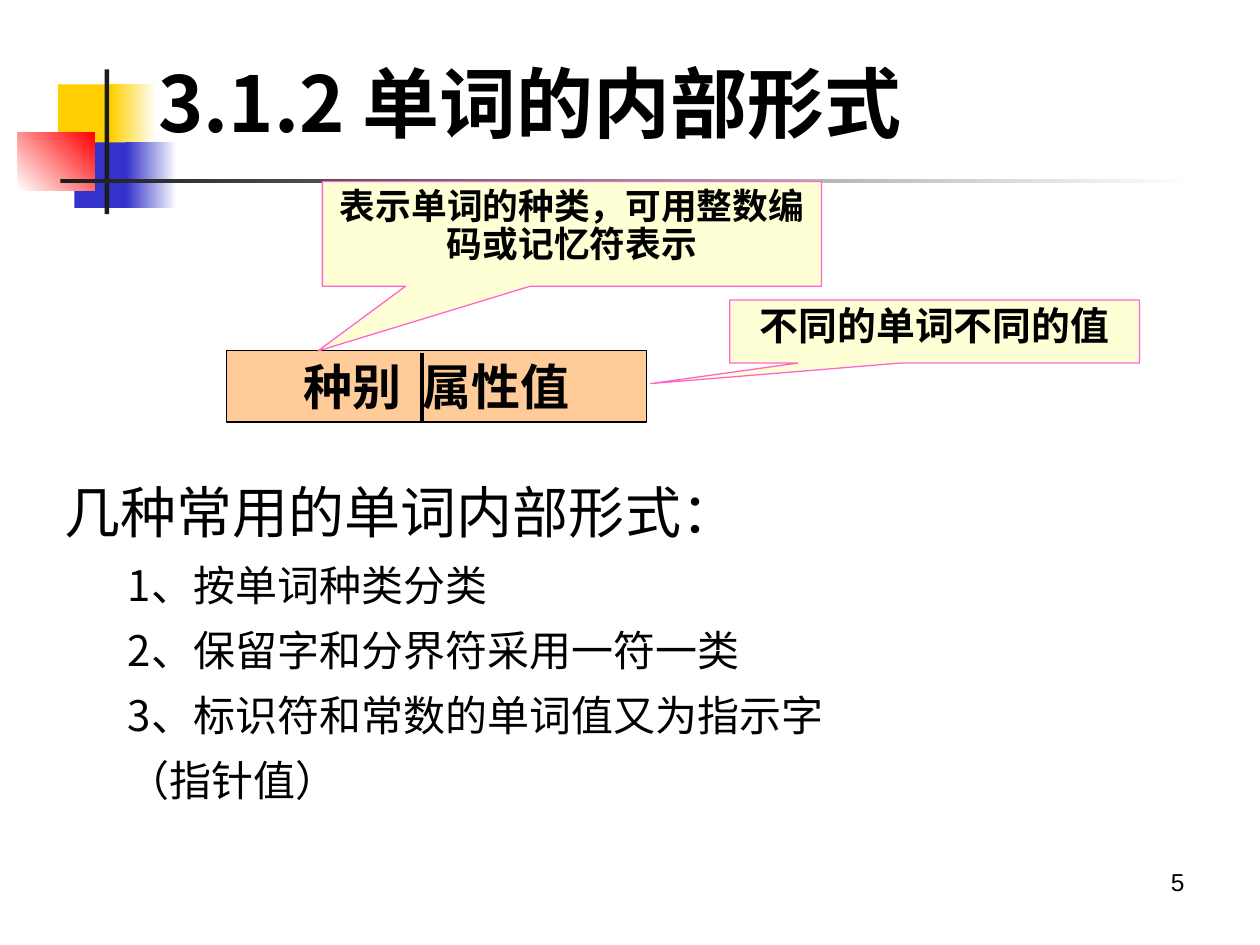
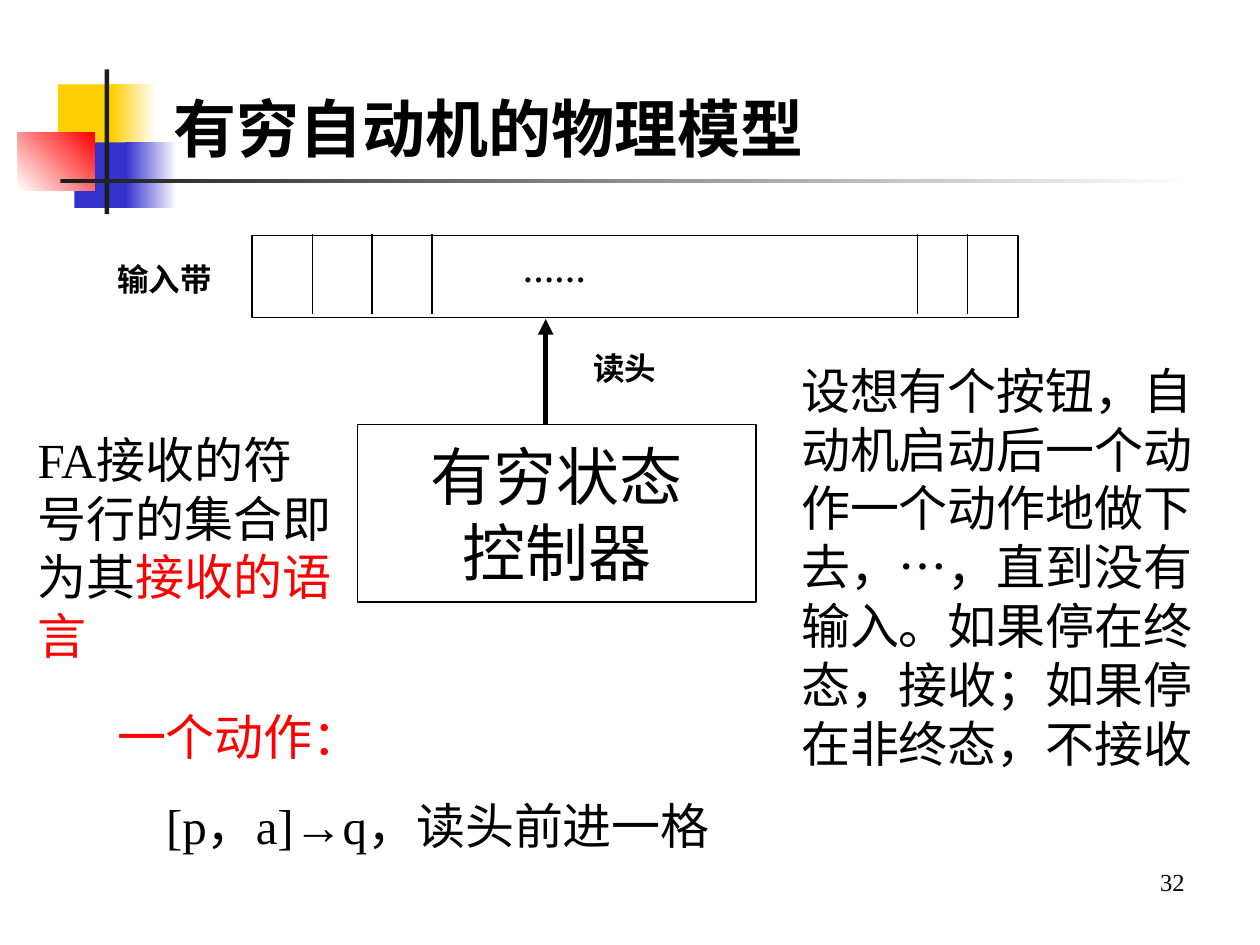
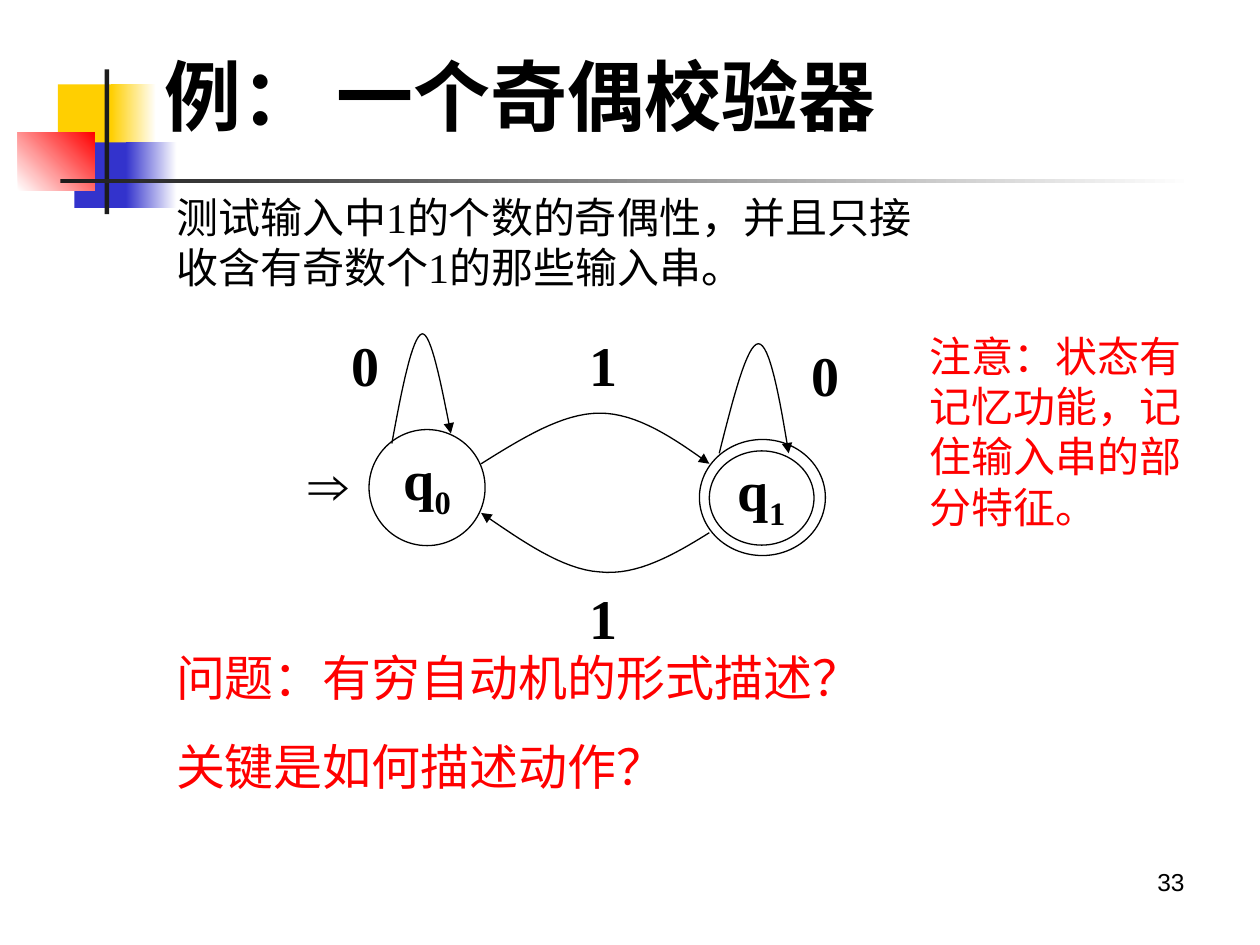
import lxml.etree
import pptx
import pptx.dml.color
import pptx.enum.dml
import pptx.enum.shapes
import pptx.enum.text
import pptx.oxml.ns
import pptx.util

Cm = pptx.util.Cm
Pt = pptx.util.Pt
SHAPE = pptx.enum.shapes.MSO_SHAPE
ALIGN = pptx.enum.text.PP_ALIGN
ANCHOR = pptx.enum.text.MSO_ANCHOR
qn = pptx.oxml.ns.qn

TIMES, ARIAL, NOTO = "Times New Roman", "Arial", "Noto Sans CJK SC"
BLACK, WHITE, RED = "000000", "FFFFFF", "FF0000"
YELLOW, BLUE, DARK = "FFCF01", "3333CC", "1C1C1C"
PEACH, CREAM, PINK = "FFCC99", "FFFFD5", "FF66CC"


def rgb(color):
    return pptx.dml.color.RGBColor.from_string(color)


def box(x, y, w, h):
    return Cm(x), Cm(y), Cm(w), Cm(h)


def add_shape(s, kind, x, y, w, h, fill=None, line=None, width=0.75):
    sp = s.shapes.add_shape(kind, *box(x, y, w, h))
    style_shape(sp, fill, line, width)
    return sp


def style_shape(sp, fill, line, width):
    sp.shadow.inherit = False
    if fill:
        sp.fill.solid()
        sp.fill.fore_color.rgb = rgb(fill)
    else:
        sp.fill.background()
    if line:
        sp.line.color.rgb = rgb(line)
        sp.line.width = Pt(width)
    else:
        sp.line.fill.background()


def add_gradient(s, x, y, w, h, start, end, angle=0):
    sp = add_shape(s, SHAPE.RECTANGLE, x, y, w, h)
    sp.fill.gradient()
    sp.fill.gradient_angle = angle
    for stop, color in zip(sp.fill.gradient_stops, (start, end)):
        stop.color.rgb = rgb(color)


def add_arrowhead(sp):
    ln = sp.line._get_or_add_ln()
    lxml.etree.SubElement(ln, qn("a:tailEnd"), type="triangle")


def add_line(s, x1, y1, x2, y2, width=0.75, arrow=False):
    cn = s.shapes.add_connector(pptx.enum.shapes.MSO_CONNECTOR.STRAIGHT,
                                Cm(x1), Cm(y1), Cm(x2), Cm(y2))
    cn.line.color.rgb = rgb(BLACK)
    cn.line.width = Pt(width)
    if arrow:
        add_arrowhead(cn)
    lxml.etree.SubElement(cn._element.spPr, qn("a:effectLst"))


def frame(sp, anchor=ANCHOR.TOP, wrap=True):
    tf = sp.text_frame
    tf.word_wrap = wrap
    tf.vertical_anchor = anchor
    return tf


def add_para(tf, runs, size, font=TIMES, color=BLACK, bold=False, align=ALIGN.LEFT,
             leading=1.2, before=0, indent=0):
    p = tf.paragraphs[0]
    if p.runs:
        p = tf.add_paragraph()
    p.alignment = align
    p.line_spacing = Pt(round(size * leading, 1))
    p.space_before = Pt(before)
    if indent:
        pPr = p._p.get_or_add_pPr()
        pPr.set("marL", str(int(Cm(indent))))
        pPr.set("indent", "0")
    for text, run_color, attributes in runs:
        r = p.add_run()
        r.text = text
        r.font.size = Pt(size)
        r.font.bold = bold
        r.font.name = font
        r.font.color.rgb = rgb(run_color or color)
        rPr = r._r.get_or_add_rPr()
        lxml.etree.SubElement(rPr, qn("a:ea"), typeface=NOTO)
        for name, value in attributes.items():
            rPr.set(name, value)


def run(text, color=None, **attributes):
    return text, color, attributes


def add_text(s, x, y, w, h, text, size, anchor=ANCHOR.TOP, **style):
    tf = frame(s.shapes.add_textbox(*box(x, y, w, h)), anchor)
    add_para(tf, [run(text)], size, **style)
    return tf


def add_ornament(s, x, y):
    for dx, dy, w, fade_dx, fade_w, color in (
            (0.81, 0.3, 1.22, 1.88, 0.91, YELLOW), (1.14, 1.47, 1.17, 2.18, 1.02, BLUE)):
        add_shape(s, SHAPE.RECTANGLE, x + dx, y + dy, w, 1.32, color)
        add_gradient(s, x + fade_dx, y + dy, fade_w, 1.32, color, WHITE)
    add_gradient(s, x, y + 1.27, 1.55, 1.17, WHITE, RED, 45)
    add_shape(s, SHAPE.RECTANGLE, x + 1.75, y, 0.09, 2.92, DARK)
    add_gradient(s, x + 0.86, y + 2.2, 22.86, 0.1, DARK, WHITE)


def new_slide(prs, number, number_font=ARIAL):
    s = prs.slides.add_slide(prs.slide_layouts[6])
    add_ornament(s, 0.36, 1.4)
    add_text(s, 18.21, 17.35, 5.92, 1.32, number, 14, font=number_font, align=ALIGN.RIGHT)
    return s


def add_round_frame(s, x, y, w, h):
    sp = add_shape(s, SHAPE.ROUNDED_RECTANGLE, x, y, w, h)
    sp.adjustments[0] = 0.054
    return frame(sp, ANCHOR.MIDDLE)


def add_callout(s, x, y, w, h, tip, text, size):
    sp = add_shape(s, SHAPE.RECTANGULAR_CALLOUT, x, y, w, h, CREAM, PINK)
    sp.adjustments[0], sp.adjustments[1] = tip
    add_para(frame(sp), [run(text)], size, bold=True, align=ALIGN.CENTER, leading=1.08)


def add_token_diagram(s, x, y):
    top = y + 3.4
    token = add_shape(s, SHAPE.RECTANGLE, x, top, 8.46, 1.45, PEACH, BLACK, 0)
    add_para(frame(token, ANCHOR.MIDDLE),
             [run("种别"), run(" ", spc="600"), run("属性值")],
             28, font=NOTO, bold=True, align=ALIGN.CENTER)
    add_line(s, x + 3.94, top + 0.05, x + 3.94, top + 1.45, 0)
    add_callout(s, x + 1.93, y, 10.06, 2.11, (-0.509, 1.119),
                "表示单词的种类，可用整数编码或记忆符表示", 20.4)
    add_callout(s, x + 10.14, y + 2.39, 8.26, 1.27, (-0.693, 0.826),
                "不同的单词不同的值", 22.2)


def add_token_forms(s, x, y, w, h):
    tf = add_round_frame(s, x, y, w, h)
    tf.margin_bottom = Cm(1.14)
    add_para(tf, [run("几种常用的单词内部形式：")], 32, font=NOTO, leading=1.55)
    for item in ("1、按单词种类分类", "2、保留字和分界符采用一符一类",
                 "3、标识符和常数的单词值又为指示字", "（指针值）"):
        add_para(tf, [run(item)], 24, font=NOTO, leading=1.55, indent=1.27)


def token_slide(prs):
    s = new_slide(prs, "5")
    title = add_round_frame(s, 2.9, 0.79, 19.41, 2.54)
    add_para(title, [run("3.1.2 单词的内部形式")], 44, font=NOTO, bold=True)
    add_token_forms(s, 0.89, 7.95, 22.4, 10.59)
    add_token_diagram(s, 4.57, 3.66)


def add_automaton_model(s, x, y):
    add_shape(s, SHAPE.RECTANGLE, x, y, 15.44, 1.65, None, BLACK, 1)
    for dx in (1.22, 2.42, 3.63, 13.41, 14.43):
        add_line(s, x + dx, y - 0.03, x + dx, y + 1.57)
    controller = add_shape(s, SHAPE.RECTANGLE, x + 2.13, y + 3.81, 8.03, 3.58, None, BLACK, 1)
    tf = frame(controller, ANCHOR.MIDDLE, False)
    for text in ("有穷状态", "控制器"):
        add_para(tf, [run(text)], 36, align=ALIGN.CENTER)
    add_line(s, x + 5.92, y + 3.81, x + 5.92, y + 1.68, 3, True)
    for dx, dy, label in ((-2.97, 0.36, "输入带"), (6.63, 2.16, "读头"), (5.21, 0.18, "……")):
        add_text(s, x + dx, y + dy, 2.59, 1.02, label, 18, bold=True)


def model_slide(prs):
    s = new_slide(prs, "32", TIMES)
    add_text(s, 3.25, 1.83, 17.7, 1.63, "有穷自动机的物理模型", 36, ANCHOR.BOTTOM, bold=True)
    add_automaton_model(s, 5.08, 4.75)
    add_text(s, 15.9, 7.14, 9.19, 8.56,
             "设想有个按钮，自动机启动后一个动作一个动作地做下去，…，"
             "直到没有输入。如果停在终态，接收；如果停在非终态，不接收", 28)
    tf = add_text(s, 2.11, 14.12, 16, 3.25, "一个动作：", 28, color=RED)
    add_para(tf, [run("[p，a]→q，读头前进一格")], 28, before=17.5, indent=0.99)
    language = frame(s.shapes.add_textbox(*box(0.51, 8.53, 6.6, 5)))
    add_para(language, [run("FA接收的符号行的集合即为其"), run("接收的语言", RED)], 28)


def curve_points(knots, steps=16):
    points = [knots[0]]
    for i in range(0, len(knots) - 1, 3):
        a, b, c, d = knots[i:i + 4]
        for step in range(1, steps + 1):
            t = step / steps
            u = 1 - t
            points.append(tuple(
                u ** 3 * a[k] + 3 * u * u * t * b[k] + 3 * u * t * t * c[k] + t ** 3 * d[k]
                for k in (0, 1)))
    return points


def add_transition(s, x, y, knots):
    points = [(Cm(x + px), Cm(y + py)) for px, py in curve_points(knots)]
    builder = s.shapes.build_freeform(*points[0])
    builder.add_line_segments(points[1:], close=False)
    sp = builder.convert_to_shape()
    style_shape(sp, None, BLACK, 0.75)
    add_arrowhead(sp)


def add_state(s, x, y, w, h, index):
    sp = add_shape(s, SHAPE.OVAL, x, y, w, h, WHITE, BLACK)
    add_para(frame(sp, ANCHOR.MIDDLE, False), [run("q"), run(index, baseline="-25000")],
             32, bold=True, align=ALIGN.CENTER)


def add_state_diagram(s, x, y):
    add_state(s, x + 2.94, y + 2.13, 2.34, 2.34, "0")
    add_shape(s, SHAPE.OVAL, x + 9.6, y + 2.33, 2.54, 2.34, WHITE, BLACK)
    add_state(s, x + 9.8, y + 2.56, 2.11, 1.9, "1")
    for dx, dy, label in ((2.33, 0, "0"), (11.6, 0.2, "0"), (7.13, 0, "1"), (7.13, 5.1, "1")):
        add_text(s, x + dx, y + dy, 1.07, 1.63, label, 32, bold=True)
    add_text(s, x, y + 2.41, 4.24, 1.63, "⇒", 32, font=ARIAL, bold=True, align=ALIGN.CENTER)
    loop_q0 = ((3.4, 2.41), (3.6, 1.32), (3.81, 0.25), (4.01, 0.2),
               (4.19, 0.18), (4.39, 1.19), (4.59, 2.21))
    loop_q1 = ((10, 2.61), (10.28, 1.5), (10.56, 0.4), (10.79, 0.4),
               (11.02, 0.4), (11.22, 1.5), (11.4, 2.61))
    q0_to_q1 = ((5.2, 2.82), (6.02, 2.31), (6.83, 1.8), (7.59, 1.8),
                (8.35, 1.8), (9.09, 2.31), (9.8, 2.82))
    q1_to_q0 = ((9.8, 4.21), (9.09, 4.65), (8.35, 5.08), (7.59, 5),
                (6.83, 4.95), (6.02, 4.37), (5.2, 3.81))
    for knots in (loop_q0, loop_q1, q0_to_q1, q1_to_q0):
        add_transition(s, x, y, knots)


def parity_slide(prs):
    s = new_slide(prs, "33")
    add_text(s, 3.07, 0.71, 15.82, 2.41, "例： 一个奇偶校验器", 44, ANCHOR.MIDDLE,
             font=NOTO, bold=True)
    add_state_diagram(s, 4.5, 6.53)
    add_text(s, 3.3, 3.73, 15.8, 2.29,
             "测试输入中1的个数的奇偶性，并且只接收含有奇数个1的那些输入串。", 24)
    tf = add_text(s, 3.3, 12.93, 15.19, 3.25, "问题：有穷自动机的形式描述？", 28, color=RED)
    add_para(tf, [run("关键是如何描述动作？")], 28, color=RED, before=17.5)
    add_text(s, 18.49, 6.53, 6.2, 4.32,
             "注意：状态有记忆功能，记住输入串的部分特征。", 24, color=RED)


def main():
    prs = pptx.Presentation()
    prs.slide_width, prs.slide_height = Cm(25.4), Cm(19.05)
    token_slide(prs)
    model_slide(prs)
    parity_slide(prs)
    prs.save("out.pptx")


if __name__ == "__main__":
    main()
